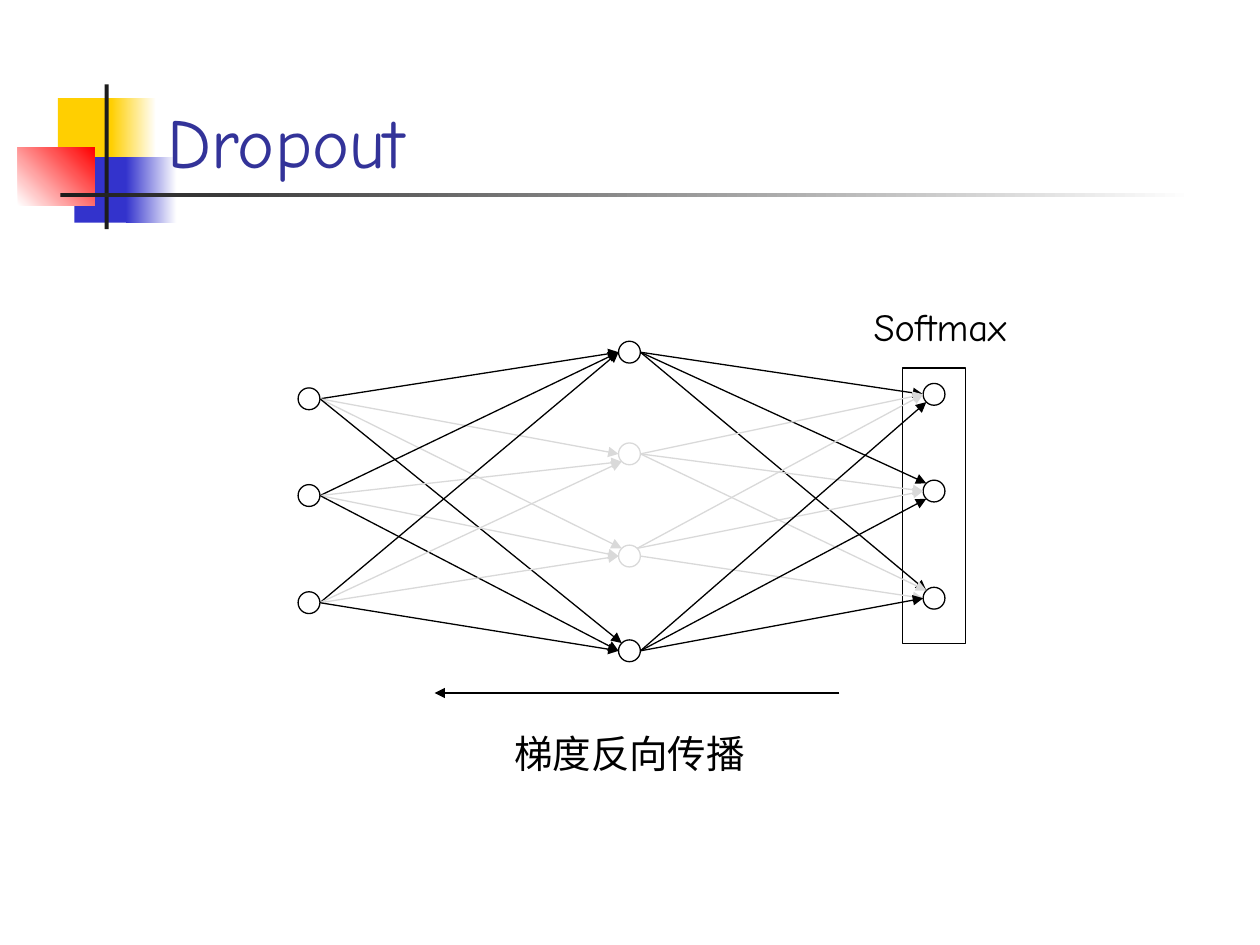
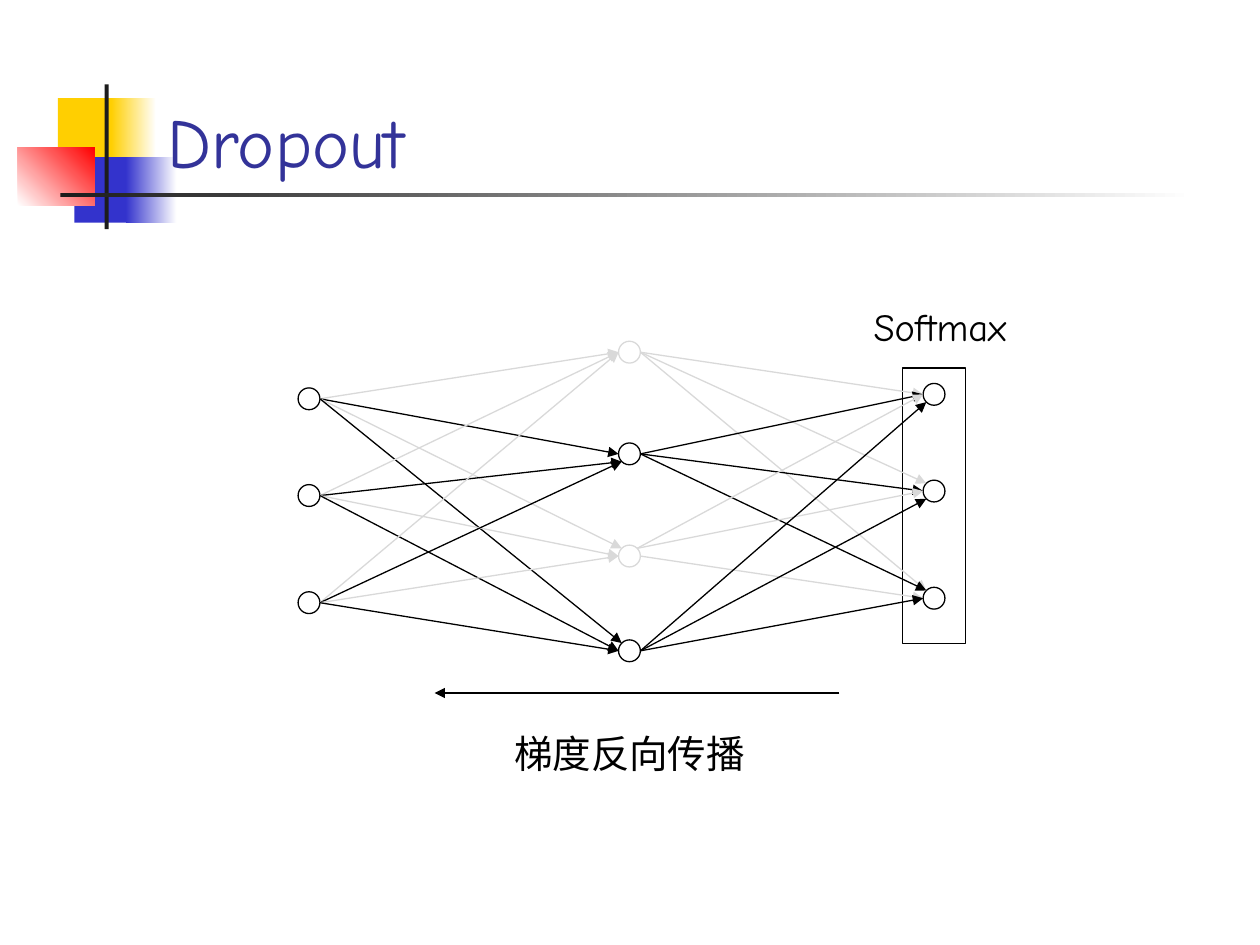
from lxml import etree
from pptx import Presentation
from pptx.dml.color import RGBColor
from pptx.enum.shapes import MSO_CONNECTOR, MSO_SHAPE
from pptx.enum.text import MSO_ANCHOR, MSO_AUTO_SIZE, PP_ALIGN
from pptx.oxml.ns import qn
from pptx.util import Cm, Pt

RECT, OVAL = MSO_SHAPE.RECTANGLE, MSO_SHAPE.OVAL
STRAIGHT = MSO_CONNECTOR.STRAIGHT
LEFT, CENTER = PP_ALIGN.LEFT, PP_ALIGN.CENTER
BOTTOM, TOP = MSO_ANCHOR.BOTTOM, MSO_ANCHOR.TOP
FIXED, GROW = MSO_AUTO_SIZE.NONE, MSO_AUTO_SIZE.SHAPE_TO_FIT_TEXT

BLACK = RGBColor(0x00, 0x00, 0x00)
WHITE = RGBColor(0xFF, 0xFF, 0xFF)
DROPPED = RGBColor(0xD9, 0xD9, 0xD9)
NAVY = RGBColor(0x33, 0x33, 0x99)
YELLOW = RGBColor(0xFF, 0xCF, 0x01)
BLUE = RGBColor(0x33, 0x33, 0xCC)
RED = RGBColor(0xFF, 0x00, 0x00)
CHARCOAL = RGBColor(0x1C, 0x1C, 0x1C)

TITLE_FONT = {"name": "Comic Neue", "size": Pt(40), "bold": False}
LABEL_FONT = {"name": "Comic Neue", "size": Pt(22)}
TITLE_FRAME = {"vertical_anchor": BOTTOM, "auto_size": FIXED, "word_wrap": True}
LABEL_FRAME = {"vertical_anchor": TOP, "auto_size": GROW, "word_wrap": True}

# Corner ornament: left, top, width, height, colours, gradient angle
ORNAMENT = [
    (1.17, 1.98, 1.22, 1.32, [YELLOW], 0),
    (2.24, 1.98, 0.91, 1.32, [YELLOW, WHITE], 0),
    (1.50, 3.17, 1.17, 1.32, [BLUE], 0),
    (2.54, 3.17, 1.02, 1.32, [BLUE, WHITE], 0),
    (0.36, 2.97, 1.55, 1.17, [WHITE, RED], 45),
    (2.11, 1.70, 0.08, 2.92, [CHARCOAL], 0),
    (1.22, 3.89, 22.86, 0.08, [CHARCOAL, WHITE], 0),
]

# Network: node centres by layer, in cm
RADIUS = 0.22
DIAGONAL = RADIUS * 0.71
INPUTS = [(6.23, y) for y in (8.04, 9.99, 12.15)]
HIDDEN = [(12.69, y) for y in (7.1, 9.15, 11.21, 13.12)]
OUTPUTS = [(18.83, y) for y in (7.95, 9.9, 12.06)]

# Rim points where links start and end, as offsets from a node centre
RIM = {
    "w": (-RADIUS, 0), "e": (RADIUS, 0),
    "nw": (-DIAGONAL, -DIAGONAL), "sw": (-DIAGONAL, DIAGONAL),
    "ne": (DIAGONAL, -DIAGONAL),
}
# End point of each link: one row per source node, one column per target
INTO_HIDDEN = [("w", "w", "nw", "nw"), ("w", "sw", "w", "w"), ("w", "sw", "w", "w")]
INTO_OUTPUT = [("w", "nw", "nw"), ("w", "w", "nw"), ("w", "w", "w"), ("sw", "sw", "w")]
RAISED_STARTS = {(2, 0), (2, 1)}


def rim_point(centre, side):
    return tuple(c + d for c, d in zip(centre, RIM[side]))


class Deck:
    """Presentation style and the current slide."""

    def __init__(self):
        self.prs = Presentation()
        self.prs.slide_width, self.prs.slide_height = Cm(25.4), Cm(19.05)

    def add_slide(self, title):
        self.s = self.prs.slides.add_slide(self.prs.slide_layouts[5])
        for left, top, width, height, colours, angle in ORNAMENT:
            self.shape(RECT, left, top, width, height, colours, angle=angle)
        sp = self.s.shapes.title
        sp.left, sp.top, sp.width, sp.height = Cm(3.12), Cm(1.27), Cm(21.64), Cm(2.54)
        self.set_text(sp, title, TITLE_FRAME, TITLE_FONT, NAVY, LEFT)
        self.s.shapes._spTree.append(sp._element)  # title in front of the ornament

    def set_text(self, sp, text, frame, font, colour, align):
        tf = sp.text_frame
        for name, value in frame.items():
            setattr(tf, name, value)
        p = tf.paragraphs[0]
        p.alignment = align
        r = p.add_run()
        r.text = text
        for name, value in font.items():
            setattr(r.font, name, value)
        r.font.color.rgb = colour

    def shape(self, kind, left, top, width, height, colours=(), line=None, angle=0):
        sp = self.s.shapes.add_shape(kind, Cm(left), Cm(top), Cm(width), Cm(height))
        sp.shadow.inherit = False
        if len(colours) > 1:
            sp.fill.gradient()
            sp.fill.gradient_angle = angle
            for stop, colour in zip(sp.fill.gradient_stops, colours):
                stop.color.rgb = colour
        elif colours:
            sp.fill.solid()
            sp.fill.fore_color.rgb = colours[0]
        else:
            sp.fill.background()
        if line is None:
            sp.line.fill.background()
        else:
            sp.line.color.rgb = line
            sp.line.width = Pt(0.75)

    def node(self, centre, colour=BLACK):
        x, y = centre
        self.shape(OVAL, x - RADIUS, y - RADIUS, 2 * RADIUS, 2 * RADIUS, [WHITE], colour)

    def arrow(self, start, end, colour=BLACK):
        c = self.s.shapes.add_connector(STRAIGHT, *(Cm(v) for v in (*start, *end)))
        c.line.color.rgb = colour
        c.line.width = Pt(0.75)
        etree.SubElement(c.line._get_or_add_ln(), qn("a:tailEnd"), type="triangle")
        etree.SubElement(c._element.spPr, qn("a:effectLst"))

    def label(self, text, left, top, width):
        sp = self.s.shapes.add_textbox(Cm(left), Cm(top), Cm(width), Cm(1.19))
        self.set_text(sp, text, LABEL_FRAME, LABEL_FONT, BLACK, CENTER)

    def network(self, dropped):
        colours = [DROPPED if h in dropped else BLACK for h in range(len(HIDDEN))]

        # Input and hidden layers
        for centre in INPUTS:
            self.node(centre)
        for centre, colour in zip(HIDDEN, colours):
            self.node(centre, colour)
        for source, sides in zip(INPUTS, INTO_HIDDEN):
            for target, side, colour in zip(HIDDEN, sides, colours):
                self.arrow(rim_point(source, "e"), rim_point(target, side), colour)

        # Softmax output layer
        self.shape(RECT, 18.19, 7.42, 1.27, 5.56, line=BLACK)
        for centre in OUTPUTS:
            self.node(centre)
        for h, (source, sides) in enumerate(zip(HIDDEN, INTO_OUTPUT)):
            for o, (target, side) in enumerate(zip(OUTPUTS, sides)):
                start = "ne" if (h, o) in RAISED_STARTS else "e"
                self.arrow(rim_point(source, start), rim_point(target, side), colours[h])
        self.label("Softmax", 15.57, 5.99, 6.76)

        # Backward pass
        self.arrow((16.92, 13.97), (8.76, 13.97))
        self.label("梯度反向传播", 5.97, 14.6, 13.44)


def main():
    deck = Deck()
    for dropped in ({1, 2}, {0, 2}):
        deck.add_slide("Dropout")
        deck.network(dropped)
    deck.prs.save("out.pptx")


if __name__ == "__main__":
    main()
